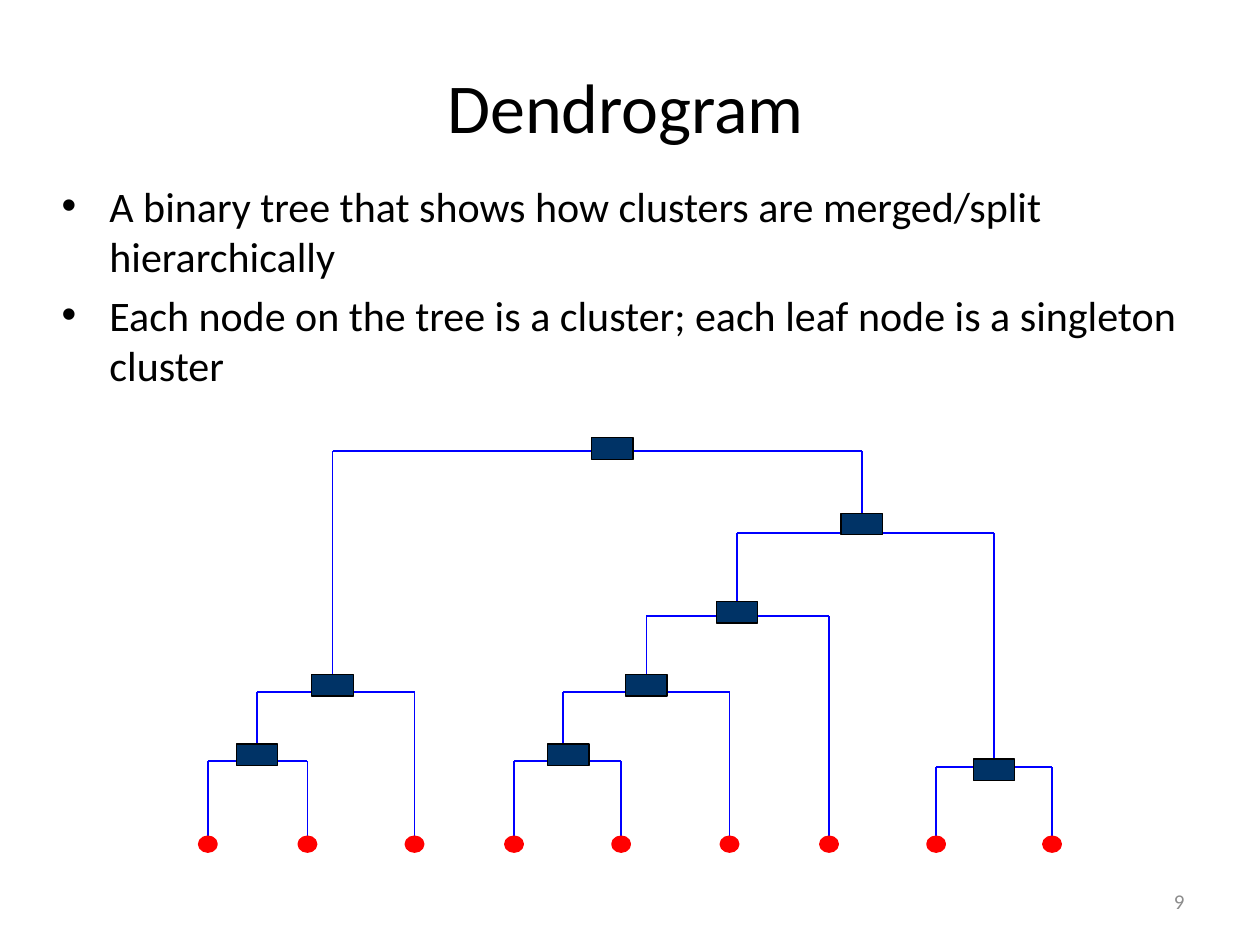
from dataclasses import dataclass
from typing import Any

from lxml import etree
from pptx import Presentation
from pptx.dml.color import RGBColor
from pptx.enum.shapes import MSO_CONNECTOR, MSO_SHAPE
from pptx.enum.text import MSO_ANCHOR, PP_ALIGN
from pptx.oxml.ns import qn
from pptx.util import Inches, Pt

BLACK = RGBColor(0x00, 0x00, 0x00)
GRAY = RGBColor(0x8C, 0x8C, 0x8C)
BLUE = RGBColor(0x00, 0x00, 0xFF)
RED = RGBColor(0xFF, 0x00, 0x00)
NAVY = RGBColor(0x00, 0x33, 0x66)
STRAIGHT = MSO_CONNECTOR.STRAIGHT
ELLIPSE, RECTANGLE = MSO_SHAPE.OVAL, MSO_SHAPE.RECTANGLE
TOP, MIDDLE = MSO_ANCHOR.TOP, MSO_ANCHOR.MIDDLE
LEFT, CENTER, RIGHT = PP_ALIGN.LEFT, PP_ALIGN.CENTER, PP_ALIGN.RIGHT

COLUMNS, ROWS = 100, 75
LEAF_ROW = 67
LEAF_COLUMNS = [16.5, 24.4, 32.9, 40.8, 49.3, 57.9, 65.8, 74.3, 83.5]
CLUSTERS = [(20.4, 59.9), (26.4, 54.4), (48.6, 35.6), (45.1, 59.9),
            (51.3, 54.4), (58.5, 48.6), (68.4, 41.6), (78.9, 61.1)]
MERGES = [
    (60.4, (16.5, LEAF_ROW), (24.4, LEAF_ROW)),
    (60.4, (40.8, LEAF_ROW), (49.3, LEAF_ROW)),
    (60.9, (74.3, LEAF_ROW), (83.5, LEAF_ROW)),
    (54.9, (20.4, 60.4), (32.9, LEAF_ROW)),
    (54.9, (44.7, 60.4), (57.9, LEAF_ROW)),
    (48.9, (51.3, 54.9), (65.8, LEAF_ROW)),
    (42.3, (58.5, 48.9), (78.9, 60.9)),
    (35.8, (26.4, 54.9), (68.4, 42.3)),
]
STATEMENTS = [
    "A binary tree that shows how clusters are merged/split hierarchically",
    "Each node on the tree is a cluster; each leaf node is a singleton cluster",
]


@dataclass
class DendrogramSlide:
    presentation: Any
    slide: Any
    font_name: str = "Calibri"
    branch_width: float = 1

    def across(self, columns):
        return round(self.presentation.slide_width * columns / COLUMNS)

    def down(self, rows):
        return round(self.presentation.slide_height * rows / ROWS)

    def text(self, lines, column, row, width, height, size,
             color=BLACK, align=LEFT, anchor=TOP, bulleted=False):
        box = self.slide.shapes.add_textbox(
            self.across(column), self.down(row), self.across(width), self.down(height))
        frame = box.text_frame
        frame.text = "\n".join(lines)
        frame.word_wrap = True
        frame.vertical_anchor = anchor
        for index, paragraph in enumerate(frame.paragraphs):
            paragraph.alignment = align
            if bulleted:
                self.bullet(paragraph)
            if index:
                paragraph.space_before = Pt(size * 0.2)
            for run in paragraph.runs:
                run.font.name = self.font_name
                run.font.size = Pt(size)
                run.font.color.rgb = color

    def bullet(self, paragraph):
        properties = paragraph._p.get_or_add_pPr()
        indent = self.across(3.8)
        properties.set("marL", str(indent))
        properties.set("indent", str(-indent))
        etree.SubElement(properties, qn("a:buFont")).set("typeface", "Arial")
        etree.SubElement(properties, qn("a:buChar")).set("char", "•")

    def branch(self, start, end):
        connector = self.slide.shapes.add_connector(
            STRAIGHT, self.across(start[0]), self.down(start[1]),
            self.across(end[0]), self.down(end[1]))
        connector.line.color.rgb = BLUE
        connector.line.width = Pt(self.branch_width)
        etree.SubElement(connector._element.spPr, qn("a:effectLst"))

    def merge(self, row, left, right):
        left_corner, right_corner = (left[0], row), (right[0], row)
        self.branch(left_corner, right_corner)
        self.branch(left_corner, left)
        self.branch(right_corner, right)

    def node(self, kind, center, width, height, fill, outline, outline_width):
        column, row = center
        shape = self.slide.shapes.add_shape(
            kind, self.across(column - width / 2), self.down(row - height / 2),
            self.across(width), self.down(height))
        shape.shadow.inherit = False
        shape.fill.solid()
        shape.fill.fore_color.rgb = fill
        shape.line.color.rgb = outline
        shape.line.width = Pt(outline_width)


def main():
    presentation = Presentation()
    presentation.slide_width = Inches(10)
    presentation.slide_height = Inches(7.5)
    slide = presentation.slides.add_slide(presentation.slide_layouts[6])
    page = DendrogramSlide(presentation, slide)

    page.text(["9"], 71.7, 69.5, 23.3, 4, 12, GRAY, RIGHT, MIDDLE)
    page.text(["Dendrogram"], 8.4, 1.3, 82.5, 14.2, 40, align=CENTER, anchor=MIDDLE)
    page.text(STATEMENTS, 3.9, 13.8, 92.8, 29.2, 24, bulleted=True)

    for row, left, right in MERGES:
        page.merge(row, left, right)
    for column in LEAF_COLUMNS:
        page.node(ELLIPSE, (column, LEAF_ROW), 1.3, 1.1, RED, RED, 2)
    for center in CLUSTERS:
        page.node(RECTANGLE, center, 3.3, 1.7, NAVY, BLACK, 0.75)

    presentation.save("out.pptx")


if __name__ == "__main__":
    main()
